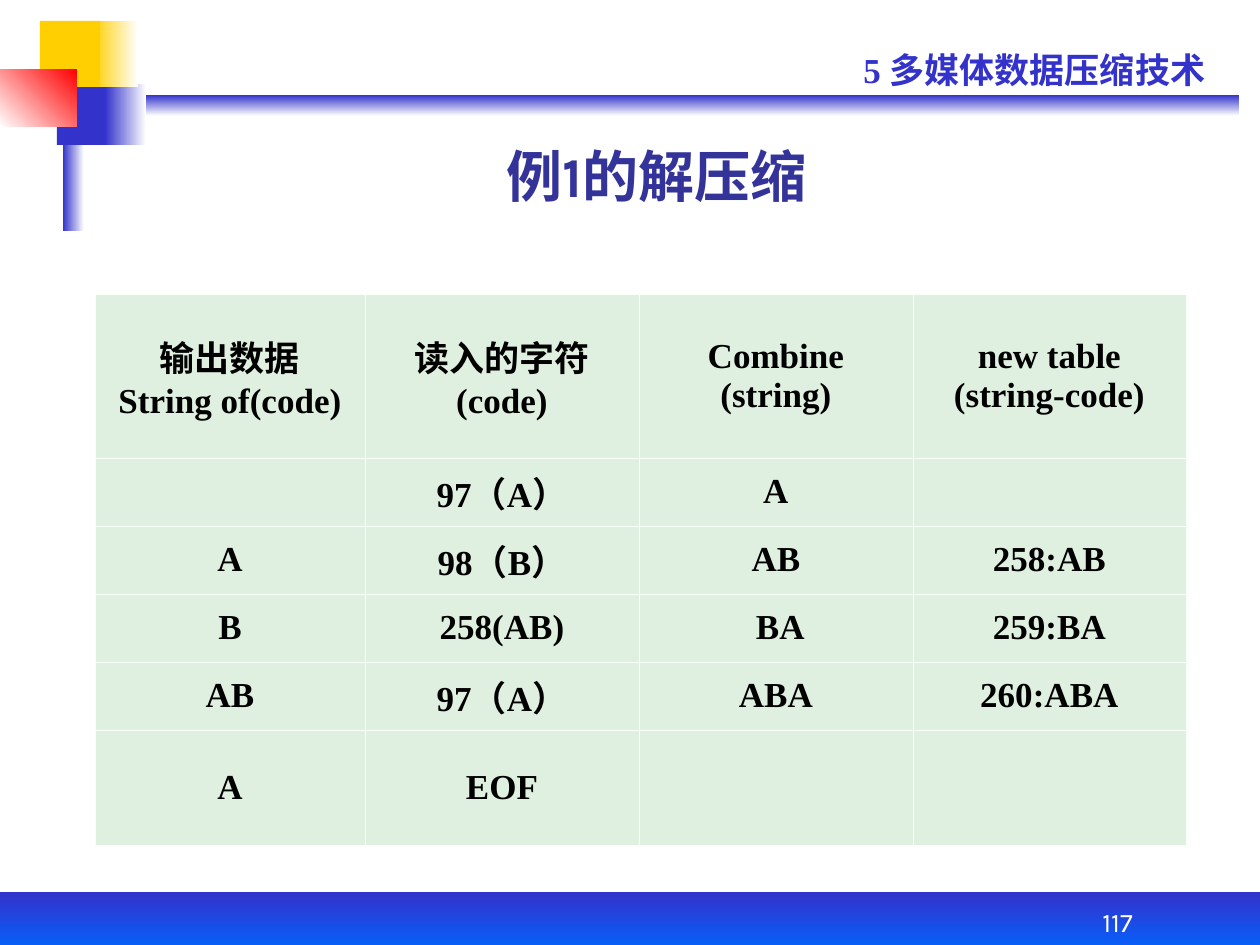
from lxml import etree
from pptx import Presentation
from pptx import util as u
from pptx.dml.color import RGBColor
from pptx.enum import shapes, text
from pptx.oxml import ns

# Content
TITLE = "例1的解压缩"
CHAPTER = "5 多媒体数据压缩技术"
PAGE_NUMBER = "117"
ROWS = [
    ("输出数据\nString of(code)", "读入的字符\n(code)", "Combine\n(string)", "new table\n(string-code)"),
    ("", "97（A）", "A", ""),
    ("A", "98（B）", "AB", "258:AB"),
    ("B", "258(AB)", " BA", "259:BA"),
    ("AB", "97（A）", "ABA", "260:ABA"),
    ("A", "EOF", "", ""),
]

# Theme
THEME = {
    "blue": "3333CC", "bright": "0066FF", "yellow": "FFCF01", "red": "FF0000",
    "white": "FFFFFF", "cell": "E0F0E0", "border": "F8FFF8", "border_pt": 0.45,
    "chapter": {"name": "Times New Roman", "size": 20, "bold": True, "color": "3333CC"},
    "number": {"name": "Karla", "size": 15.3, "bold": False, "color": "FFFFFF"},
    "title": {"name": "Karla", "size": 32, "bold": True, "color": "333399"},
    "table": {"name": "Times New Roman", "size": 20, "bold": True, "color": "000000"},
}

# Geometry in px: left, top, width, height
SCALE = 914400 / 126
SLIDE = (1260, 945)
TITLE_BOX = (158, 131, 998, 84)
CHAPTER_BOX = (851, 42, 378, 55)
NUMBER_BOX = (1018, 892, 199, 53)
TABLE_AT = (95, 294)
COLUMNS = [270, 274, 274, 273]
HEIGHTS = [164] + [68] * 4 + [116]

# Decoration, back to front: box, colours, clockwise gradient angle
DECOR = [
    ((73, 95, 1166, 21), ("blue", "white"), 90),
    ((105, 84, 41, 61), ("blue", "white"), 0),
    ((0, 892, 1260, 63), ("blue", "bright"), 90),
    ((63, 73, 21, 158), ("blue", "white"), 0),
    ((57, 85, 48, 60), ("blue",), 0),
    ((93, 21, 45, 66), ("yellow", "white"), 0),
    ((40, 21, 60, 66), ("yellow",), 0),
    ((0, 69, 77, 58), ("white", "red"), 315),
]


def px(*values):
    return [u.Emu(round(value * SCALE)) for value in values]


def rgb(name):
    return RGBColor.from_string(THEME.get(name, name))


def write(frame, words, style, align, spacing=None):
    for index, line in enumerate(words.split("\n")):
        para = frame.add_paragraph() if index else frame.paragraphs[0]
        para.alignment = align
        para.line_spacing = spacing
        if not line:
            continue
        span = para.add_run()
        span.text = line
        span.font.color.rgb = rgb(style["color"])
        values = {"name": style["name"], "size": u.Pt(style["size"]), "bold": style["bold"]}
        for key, value in values.items():
            setattr(span.font, key, value)


def set_frame(frame, anchor):
    values = {"word_wrap": True, "auto_size": text.MSO_AUTO_SIZE.NONE, "vertical_anchor": anchor}
    for key, value in values.items():
        setattr(frame, key, value)


def add_decor(page, box, colors, angle):
    block = page.shapes.add_shape(shapes.MSO_SHAPE.RECTANGLE, *px(*box))
    block.shadow.inherit = False
    block.line.fill.background()
    if len(colors) == 1:
        block.fill.solid()
        block.fill.fore_color.rgb = rgb(colors[0])
        return
    block.fill.gradient()
    block.fill.gradient_angle = -angle % 360
    for stop, color in zip(block.fill.gradient_stops, colors):
        stop.color.rgb = rgb(color)


def add_borders(cell):
    props = cell._tc.get_or_add_tcPr()
    for index, side in enumerate(("lnL", "lnR", "lnT", "lnB")):
        line = etree.Element(ns.qn(f"a:{side}"), w=str(u.Pt(THEME["border_pt"])))
        fill = etree.SubElement(line, ns.qn("a:solidFill"))
        etree.SubElement(fill, ns.qn("a:srgbClr"), val=THEME["border"])
        props.insert(index, line)


def add_table(page):
    box = px(*TABLE_AT, sum(COLUMNS), sum(HEIGHTS))
    table = page.shapes.add_table(len(HEIGHTS), len(COLUMNS), *box).table
    table.first_row = table.horz_banding = False
    for column, width in zip(table.columns, px(*COLUMNS)):
        column.width = width
    for row, height, words in zip(table.rows, px(*HEIGHTS), ROWS):
        row.height = height
        for cell, content in zip(row.cells, words):
            cell.vertical_anchor = text.MSO_ANCHOR.MIDDLE
            cell.fill.solid()
            cell.fill.fore_color.rgb = rgb("cell")
            add_borders(cell)
            write(cell.text_frame, content, THEME["table"], text.PP_ALIGN.CENTER)


def main():
    deck = Presentation()
    deck.slide_width, deck.slide_height = px(*SLIDE)
    page = deck.slides.add_slide(deck.slide_layouts[5])

    # Corner blocks, rule and footer band
    for part in DECOR:
        add_decor(page, *part)

    # Chapter heading and page number
    anchor, align = text.MSO_ANCHOR, text.PP_ALIGN
    chapter = page.shapes.add_textbox(*px(*CHAPTER_BOX)).text_frame
    set_frame(chapter, anchor.TOP)
    write(chapter, CHAPTER, THEME["chapter"], align.LEFT)
    number = page.shapes.add_textbox(*px(*NUMBER_BOX)).text_frame
    set_frame(number, anchor.BOTTOM)
    write(number, PAGE_NUMBER, THEME["number"], align.CENTER, 0.9)

    # Title
    title = page.shapes.title
    for key, value in zip(("left", "top", "width", "height"), px(*TITLE_BOX)):
        setattr(title, key, value)
    set_frame(title.text_frame, anchor.BOTTOM)
    write(title.text_frame, TITLE, THEME["title"], align.CENTER)

    # Decoding table
    add_table(page)
    deck.save("out.pptx")


if __name__ == "__main__":
    main()
